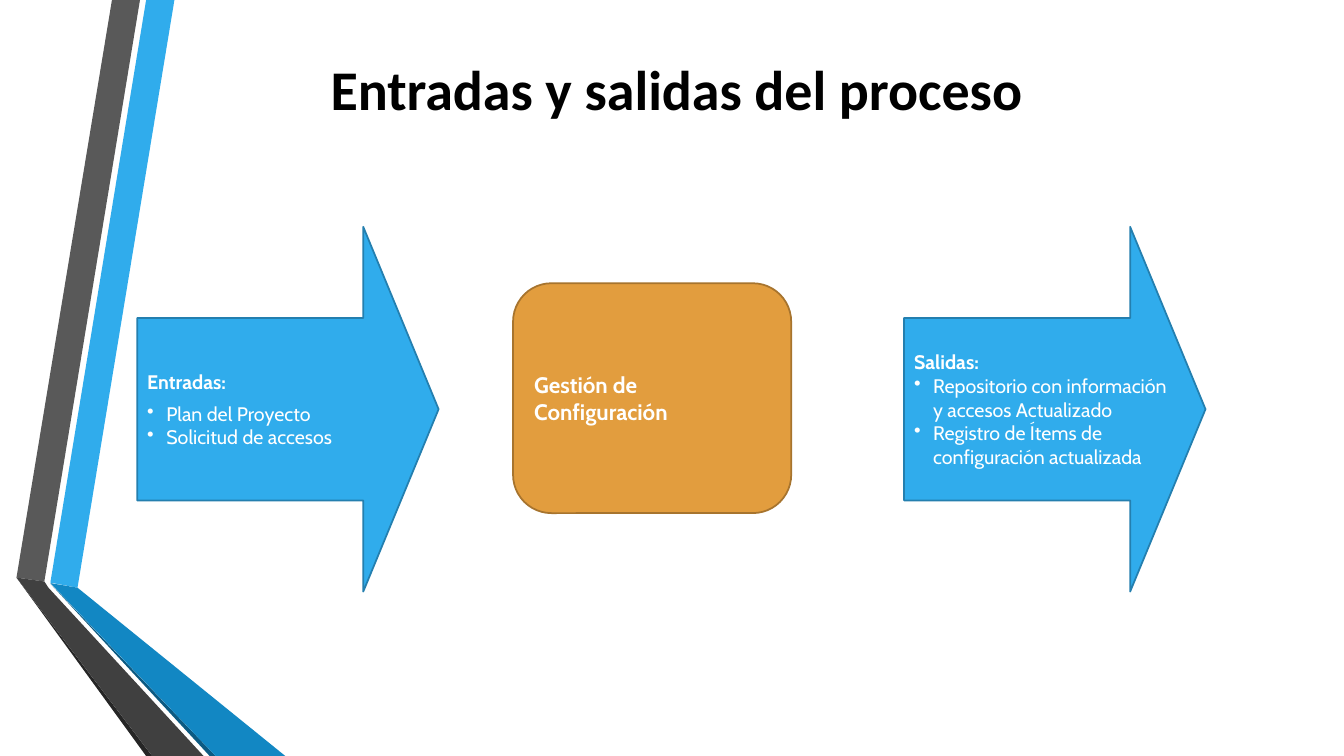
from typing import NamedTuple

from lxml.etree import SubElement
from pptx import Presentation
from pptx.dml.color import RGBColor
from pptx.enum.shapes import MSO_SHAPE
from pptx.enum.text import MSO_ANCHOR, PP_ALIGN
from pptx.oxml.ns import qn
from pptx.shapes.autoshape import Shape
from pptx.slide import Slide
from pptx.text.text import TextFrame
from pptx.util import Pt

BLACK = RGBColor(0x00, 0x00, 0x00)
WHITE = RGBColor(0xFF, 0xFF, 0xFF)
BLUE = RGBColor(0x30, 0xAC, 0xEC)
EDGE = RGBColor(0x24, 0x7F, 0xAF)
AMBER = RGBColor(0xE2, 0x9D, 0x3E)
RIM = RGBColor(0xA7, 0x74, 0x2E)
GREY = RGBColor(0x59, 0x59, 0x59)
DARK = RGBColor(0x40, 0x40, 0x40)
INK = RGBColor(0x26, 0x26, 0x26)
NAVY = RGBColor(0x0C, 0x5A, 0x82)
SEA = RGBColor(0x12, 0x87, 0xC3)
STEPS = 10
INDENT = 13.7


class Band(NamedTuple):
    """One flat strip of the ribbon at the left."""
    fill: RGBColor
    points: list[tuple[float, float]]


class Box(NamedTuple):
    """One step of the process: heading and bulleted items."""
    kind: MSO_SHAPE
    left: float
    top: float
    width: float
    height: float
    adjust: list[float]
    fill: RGBColor
    line: RGBColor
    size: float
    head: str
    items: list[str]
    gap: float = 0
    wrap: bool = True


BANDS = [
    Band(BLUE, [(36, 416.2), (55.4, 419.8), (124.6, 0), (104.4, 0)]),
    Band(GREY, [(100, 0), (80, 0), (11.8, 412.6), (31.7, 415.4)]),
    Band(INK, [(11.8, 412.6), (104.4, 540), (108.7, 540)]),
    Band(NAVY, [(36, 416.9), (149.8, 540), (154.1, 540)]),
    Band(SEA, [(36, 416.5), (154.1, 540), (203.8, 540), (55.4, 419.8)]),
    Band(DARK, [(145.4, 540), (34.6, 419.8), (31.7, 415.4),
                (11.8, 412.6), (108.7, 540)]),
]

ARROW = (162, 215.3, 260.6, [0.5, 0.25], BLUE, EDGE, 14)
BOXES = [
    Box(MSO_SHAPE.RIGHT_ARROW, 98, *ARROW, "Entradas:",
        ["Plan del Proyecto", "Solicitud de accesos"], gap=6),
    Box(MSO_SHAPE.ROUNDED_RECTANGLE, 366.5, 202.3, 198.7, 164.2, [0.167],
        AMBER, RIM, 16, "Gestión de Configuración", []),
    Box(MSO_SHAPE.RIGHT_ARROW, 645.8, *ARROW, "Salidas:",
        ["Repositorio con información \vy accesos Actualizado",
         "Registro de Ítems de \vconfiguración actualizada"], wrap=False),
]


def paint(shape: Shape, fill: RGBColor) -> None:
    """Fill a shape flat, without shadow or line."""
    shape.shadow.inherit = False
    shape.fill.solid()
    shape.fill.fore_color.rgb = fill
    shape.line.fill.background()


def style(frame: TextFrame, face: str, size: float, color: RGBColor) -> None:
    """Format all runs, with the first paragraph in bold."""
    for row, para in enumerate(frame.paragraphs):
        para.alignment = PP_ALIGN.LEFT
        for run in para.runs:
            run.font.name = face
            run.font.size = Pt(size)
            run.font.bold = row == 0
            run.font.color.rgb = color


def draw_band(slide: Slide, band: Band) -> None:
    """Draw one strip of the ribbon."""
    dots = [(x * STEPS, y * STEPS) for x, y in band.points]
    pen = slide.shapes.build_freeform(*dots[0], scale=Pt(1) / STEPS)
    pen.add_line_segments(dots[1:], close=True)
    paint(pen.convert_to_shape(), band.fill)


def draw_box(slide: Slide, box: Box) -> None:
    """Draw one step with its text."""
    shape = slide.shapes.add_shape(
        box.kind, Pt(box.left), Pt(box.top), Pt(box.width), Pt(box.height))
    for spot, value in enumerate(box.adjust):
        shape.adjustments[spot] = value
    paint(shape, box.fill)
    shape.line.color.rgb = box.line
    shape.line.width = Pt(1.25)
    frame = shape.text_frame
    frame.word_wrap = box.wrap
    frame.vertical_anchor = MSO_ANCHOR.MIDDLE
    frame.text = box.head
    frame.paragraphs[0].space_after = Pt(box.gap)
    for item in box.items:
        para = frame.add_paragraph()
        para.text = item
        props = para._p.get_or_add_pPr()
        props.set("marL", str(Pt(INDENT)))
        props.set("indent", str(-Pt(INDENT)))
        SubElement(props, qn("a:buChar")).set("char", "•")
    style(frame, "Cabin", box.size, WHITE)


def draw_title(slide: Slide, text: str) -> None:
    """Write the heading of the slide."""
    area = slide.shapes.add_textbox(Pt(229), Pt(35.3), Pt(553), Pt(55.4))
    area.text_frame.word_wrap = True
    area.text_frame.text = text
    style(area.text_frame, "Calibri", 40, BLACK)


def main() -> None:
    """Build the slide and save it."""
    deck = Presentation()
    deck.slide_width, deck.slide_height = Pt(960), Pt(540)
    slide = deck.slides.add_slide(deck.slide_layouts[6])
    for band in BANDS:
        draw_band(slide, band)
    draw_title(slide, "Entradas y salidas del proceso")
    for box in BOXES:
        draw_box(slide, box)
    deck.save("out.pptx")


main()
